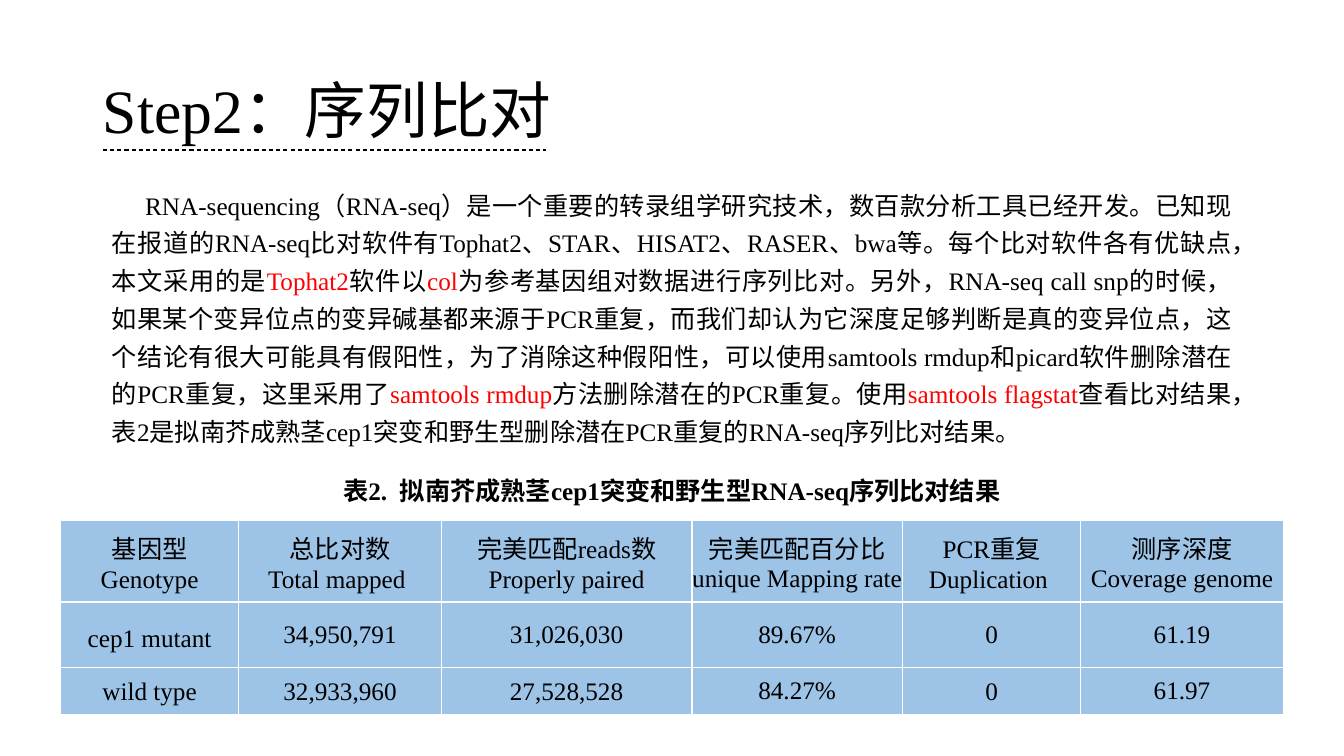
from pptx import Presentation
from pptx import util as u
from pptx.dml.color import RGBColor
from pptx.enum import dml, shapes, text
from pptx.oxml import parse_xml
from pptx.oxml.ns import nsdecls, qn
from lxml import etree

Cm, Pt = u.Cm, u.Pt
FONT = "Times New Roman"
BLACK = RGBColor(0, 0, 0)
RED = RGBColor(0xFF, 0, 0)
BLUE = RGBColor(0x9D, 0xC3, 0xE6)
WHITE = RGBColor(0xFF, 0xFF, 0xFF)

TITLE = "Step2：序列比对"
CAPTION = "表2.  拟南芥成熟茎cep1突变和野生型RNA-seq序列比对结果"
BODY = [
    ("RNA-sequencing（RNA-seq）是一个重要的转录组学研究技术，数百款分析工具已经开发。"
     "已知现在报道的RNA-seq比对软件有Tophat2、STAR、HISAT2、RASER、bwa等。"
     "每个比对软件各有优缺点，本文采用的是", BLACK),
    ("Tophat2", RED),
    ("软件以", BLACK),
    ("col", RED),
    ("为参考基因组对数据进行序列比对。另外，RNA-seq call snp的时候，"
     "如果某个变异位点的变异碱基都来源于PCR重复，而我们却认为它深度足够判断是真的变异位点，"
     "这个结论有很大可能具有假阳性，为了消除这种假阳性，"
     "可以使用samtools rmdup和picard软件删除潜在的PCR重复，这里采用了", BLACK),
    ("samtools rmdup", RED),
    ("方法删除潜在的PCR重复。使用", BLACK),
    ("samtools flagstat", RED),
    ("查看比对结果，表2是拟南芥成熟茎cep1突变和野生型删除潜在PCR重复的"
     "RNA-seq序列比对结果。", BLACK),
]
COL_WIDTHS = [4.5, 5.1, 6.32, 5.3, 4.5, 5.1]
ROW_HEIGHTS = [2.06, 1.65, 1.19]
TIGHT_COLS = (3, 5)  # columns without cell margins
ROWS = [
    ["基因型\nGenotype", "总比对数\nTotal mapped ", "完美匹配reads数\nProperly paired",
     "完美匹配百分比\nunique Mapping rate ", "PCR重复\nDuplication ",
     "测序深度\nCoverage genome"],
    ["cep1 mutant", "34,950,791", "31,026,030", "89.67%", "0", "61.19"],
    ["wild type", "32,933,960", "27,528,528", "84.27%", "0", "61.97"],
]


def add_run(p, words, size=18, color=BLACK, bold=False):
    r = p.add_run()
    r.text = words
    r.font.name = FONT
    r.font.size = Pt(size)
    r.font.bold = bold
    r.font.color.rgb = color


def add_title(s):
    sp = s.shapes.title
    sp.left, sp.top, sp.width, sp.height = Cm(2.34), Cm(1.02), Cm(29.21), Cm(3.68)
    tf = sp.text_frame
    tf.vertical_anchor = text.MSO_ANCHOR.MIDDLE
    p = tf.paragraphs[0]
    p.alignment = text.PP_ALIGN.LEFT
    p.line_spacing = 0.9
    add_run(p, TITLE, 44)


def add_text(s, left, top, width, height, runs, align, indent=0, bold=False):
    tf = s.shapes.add_textbox(Cm(left), Cm(top), Cm(width), Cm(height)).text_frame
    tf.word_wrap = True
    p = tf.paragraphs[0]
    p.alignment = align
    p.line_spacing = 1.25
    if indent:
        p._p.get_or_add_pPr().set("indent", str(Cm(indent)))
    for words, color in runs:
        add_run(p, words, color=color, bold=bold)


def add_dashed_line(s, x1, x2, y):
    line = s.shapes.add_connector(shapes.MSO_CONNECTOR.STRAIGHT, Cm(x1), Cm(y), Cm(x2), Cm(y))
    line.line.color.rgb = BLACK
    line.line.width = Pt(0.75)
    line.line.dash_style = dml.MSO_LINE.DASH
    etree.SubElement(line._element.spPr, qn("a:effectLst"))


def set_borders(cell):
    tcPr = cell._tc.get_or_add_tcPr()
    for i, side in enumerate(("lnL", "lnR", "lnT", "lnB")):
        tcPr.insert(i, parse_xml(
            f'<a:{side} {nsdecls("a")} w="{Pt(1)}"><a:solidFill>'
            f'<a:srgbClr val="{WHITE}"/></a:solidFill></a:{side}>'))


def fill_cell(cell, words, tight):
    cell.fill.solid()
    cell.fill.fore_color.rgb = BLUE
    set_borders(cell)
    cell.vertical_anchor = text.MSO_ANCHOR.MIDDLE
    cell.margin_left = cell.margin_right = Cm(0 if tight else 0.18)
    cell.margin_top = Cm(0 if tight else 0.03)
    cell.margin_bottom = 0
    tf = cell.text_frame
    for i, part in enumerate(words.split("\n")):
        p = tf.add_paragraph() if i else tf.paragraphs[0]
        p.alignment = text.PP_ALIGN.CENTER
        add_run(p, part)


def add_result_table(s, left, top):
    table = s.shapes.add_table(len(ROWS), len(COL_WIDTHS), Cm(left), Cm(top),
                               Cm(sum(COL_WIDTHS)), Cm(sum(ROW_HEIGHTS))).table
    table.first_row = table.horz_banding = False
    for col, width in zip(table.columns, COL_WIDTHS):
        col.width = Cm(width)
    for row, height, values in zip(table.rows, ROW_HEIGHTS, ROWS):
        row.height = Cm(height)
        for i, (cell, words) in enumerate(zip(row.cells, values)):
            fill_cell(cell, words, i in TIGHT_COLS)
    table.cell(1, 0).text_frame.paragraphs[0].line_spacing = 1.25


def main():
    prs = Presentation()
    prs.slide_width, prs.slide_height = Cm(33.87), Cm(19.05)
    s = prs.slides.add_slide(prs.slide_layouts[5])

    # Heading
    add_title(s)
    add_dashed_line(s, 2.59, 13.77, 3.78)

    # Table and its caption
    add_result_table(s, 1.52, 13.11)
    add_text(s, 7.62, 11.66, 18.62, 1.22, [(CAPTION, BLACK)],
             text.PP_ALIGN.CENTER, bold=True)

    # Explanation
    add_text(s, 2.57, 4.47, 28.73, 6.98, BODY, text.PP_ALIGN.JUSTIFY, indent=0.84)

    prs.save("out.pptx")


if __name__ == "__main__":
    main()
